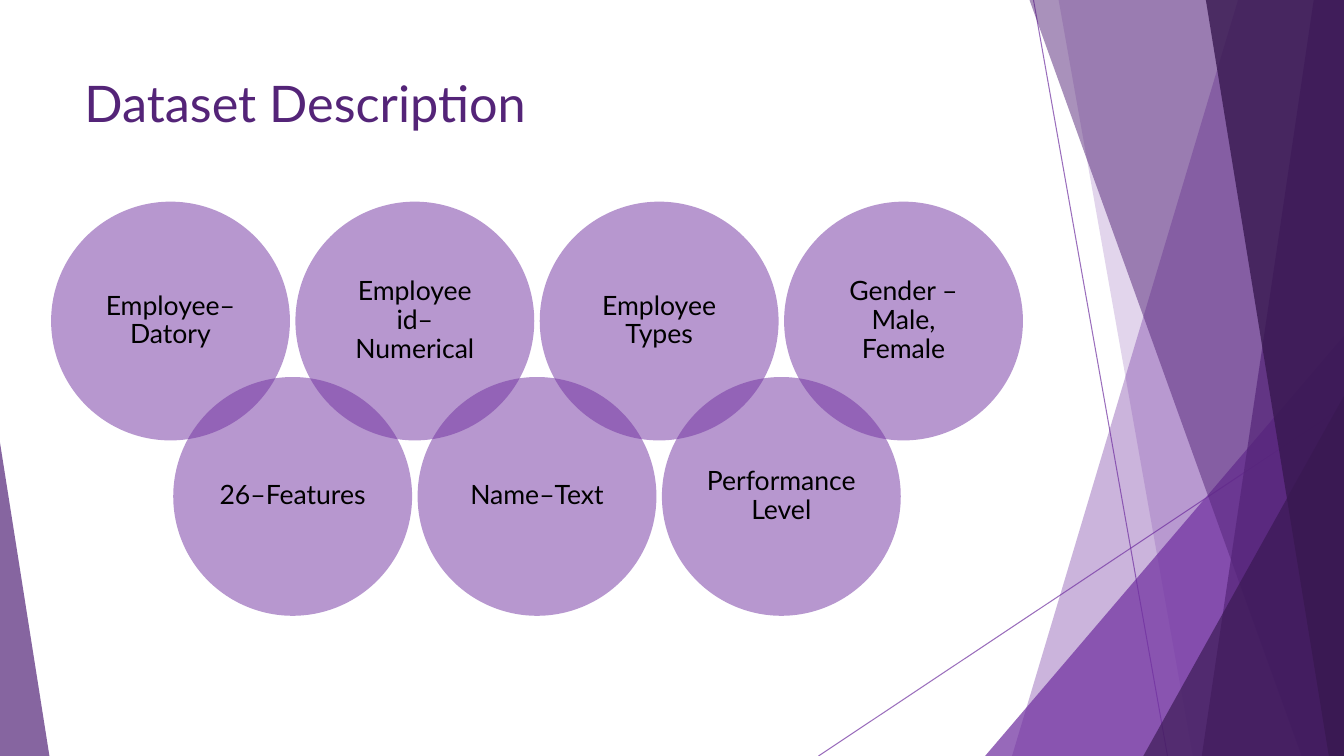
import dataclasses
import typing

import pptx
import pptx.dml.color
import pptx.enum.shapes
import pptx.enum.text
import pptx.oxml.ns
import pptx.oxml.xmlchemy
import pptx.util

SLIDE_WIDTH = pptx.util.Inches(13.33)
SLIDE_HEIGHT = pptx.util.Inches(7.5)
FONT = "Lato"
PURPLE = "7030A0"
DEEP = "542478"
DARK = "381850"
BLACK = "000000"

FIRST_CIRCLE_LEFT = 3.8
FIRST_CIRCLE_TOP = 26.67
CIRCLE_STEP = 9.09
CIRCLE_DROP = 23.2
CIRCLE_SIZE = 17.77
CIRCLE_INSET = 0.6


@dataclasses.dataclass
class Ray:
    start: tuple[float, float]
    end: tuple[float, float]


@dataclasses.dataclass
class Panel:
    top_left: float
    bottom_left: float
    hue: str
    opacity: int


@dataclasses.dataclass
class Wedge:
    left: float
    top: float
    width: float
    lean: float
    hue: str
    opacity: int


RAYS = [
    Ray((76.9, 0), (86.87, 100)),
    Ray((100, 53.73), (60.9, 100)),
]
BACKDROP = [
    Panel(92.12, 75.3, PURPLE, 36),
    Panel(78.77, 88.75, PURPLE, 20),
    Wedge(73.3, 44.4, 26.7, 1, PURPLE, 72),
    Panel(76.6, 96.85, DEEP, 50),
    Panel(97.75, 89.42, DEEP, 70),
    Panel(89.72, 98.87, DARK, 80),
    Wedge(85.07, 52.4, 14.93, 1, DARK, 66),
    Wedge(0, 58.53, 3.68, 0, DEEP, 70),
]
TOPICS = [
    "Employee–Datory",
    "26–Features",
    "Employee id–Numerical",
    "Name–Text",
    "Employee Types",
    "Performance Level",
    "Gender – Male, Female",
]


def across(percent: float) -> int:
    return round(SLIDE_WIDTH * percent / 100)


def down(percent: float) -> int:
    return round(SLIDE_HEIGHT * percent / 100)


def colour(code: str) -> pptx.dml.color.RGBColor:
    return pptx.dml.color.RGBColor.from_string(code)


def set_opacity(shape: typing.Any, percent: int) -> None:
    for tint in shape.element.spPr.iter(pptx.oxml.ns.qn("a:srgbClr")):
        alpha = pptx.oxml.xmlchemy.OxmlElement("a:alpha")
        alpha.set("val", str(percent * 1000))
        tint.append(alpha)


def paint(shape: typing.Any, hue: str, opacity: int) -> None:
    shape.shadow.inherit = False
    shape.fill.solid()
    shape.fill.fore_color.rgb = colour(hue)
    shape.line.fill.background()
    set_opacity(shape, opacity)


def format_text(para: typing.Any, size: int, hue: str) -> None:
    for span in para.runs:
        span.font.name = FONT
        span.font.size = pptx.util.Pt(size)
        span.font.color.rgb = colour(hue)


def draw_ray(page: typing.Any, ray: Ray) -> None:
    line = page.shapes.add_connector(
        pptx.enum.shapes.MSO_CONNECTOR.STRAIGHT,
        across(ray.start[0]), down(ray.start[1]),
        across(ray.end[0]), down(ray.end[1]),
    )
    line.line.color.rgb = colour(PURPLE)
    line.line.width = pptx.util.Pt(0.75)
    set_opacity(line, 70)
    line.element.spPr.append(pptx.oxml.xmlchemy.OxmlElement("a:effectLst"))


def draw_panel(page: typing.Any, panel: Panel) -> None:
    outline = page.shapes.build_freeform(across(panel.top_left), 0)
    outline.add_line_segments([
        (SLIDE_WIDTH, 0),
        (SLIDE_WIDTH, SLIDE_HEIGHT),
        (across(panel.bottom_left), SLIDE_HEIGHT),
    ], close=True)
    paint(outline.convert_to_shape(), panel.hue, panel.opacity)


def draw_wedge(page: typing.Any, wedge: Wedge) -> None:
    triangle = page.shapes.add_shape(
        pptx.enum.shapes.MSO_SHAPE.ISOSCELES_TRIANGLE,
        across(wedge.left), down(wedge.top),
        across(wedge.width), down(100 - wedge.top),
    )
    triangle.adjustments[0] = wedge.lean
    paint(triangle, wedge.hue, wedge.opacity)


def draw_title(page: typing.Any, title: str) -> None:
    box = page.shapes.add_textbox(across(5.55), down(8.93), across(70.5), down(19.2))
    box.text_frame.word_wrap = True
    box.text_frame.text = title
    format_text(box.text_frame.paragraphs[0], 36, DEEP)


def draw_topic(page: typing.Any, position: int, topic: str) -> None:
    circle = page.shapes.add_shape(
        pptx.enum.shapes.MSO_SHAPE.OVAL,
        across(FIRST_CIRCLE_LEFT + CIRCLE_STEP * position),
        down(FIRST_CIRCLE_TOP + CIRCLE_DROP * (position % 2)),
        across(CIRCLE_SIZE), across(CIRCLE_SIZE),
    )
    paint(circle, PURPLE, 50)
    frame = circle.text_frame
    frame.word_wrap = True
    frame.vertical_anchor = pptx.enum.text.MSO_ANCHOR.MIDDLE
    frame.margin_left = frame.margin_right = across(CIRCLE_INSET)
    frame.margin_top = frame.margin_bottom = across(CIRCLE_INSET)
    frame.text = topic
    para = frame.paragraphs[0]
    para.alignment = pptx.enum.text.PP_ALIGN.CENTER
    para.line_spacing = 0.9
    format_text(para, 19, BLACK)


def main() -> None:
    deck = pptx.Presentation()
    deck.slide_width = SLIDE_WIDTH
    deck.slide_height = SLIDE_HEIGHT
    page = deck.slides.add_slide(deck.slide_layouts[6])
    for ray in RAYS:
        draw_ray(page, ray)
    for piece in BACKDROP:
        if isinstance(piece, Panel):
            draw_panel(page, piece)
        else:
            draw_wedge(page, piece)
    draw_title(page, "Dataset Description")
    for position, topic in enumerate(TOPICS):
        draw_topic(page, position, topic)
    deck.save("out.pptx")


if __name__ == "__main__":
    main()
